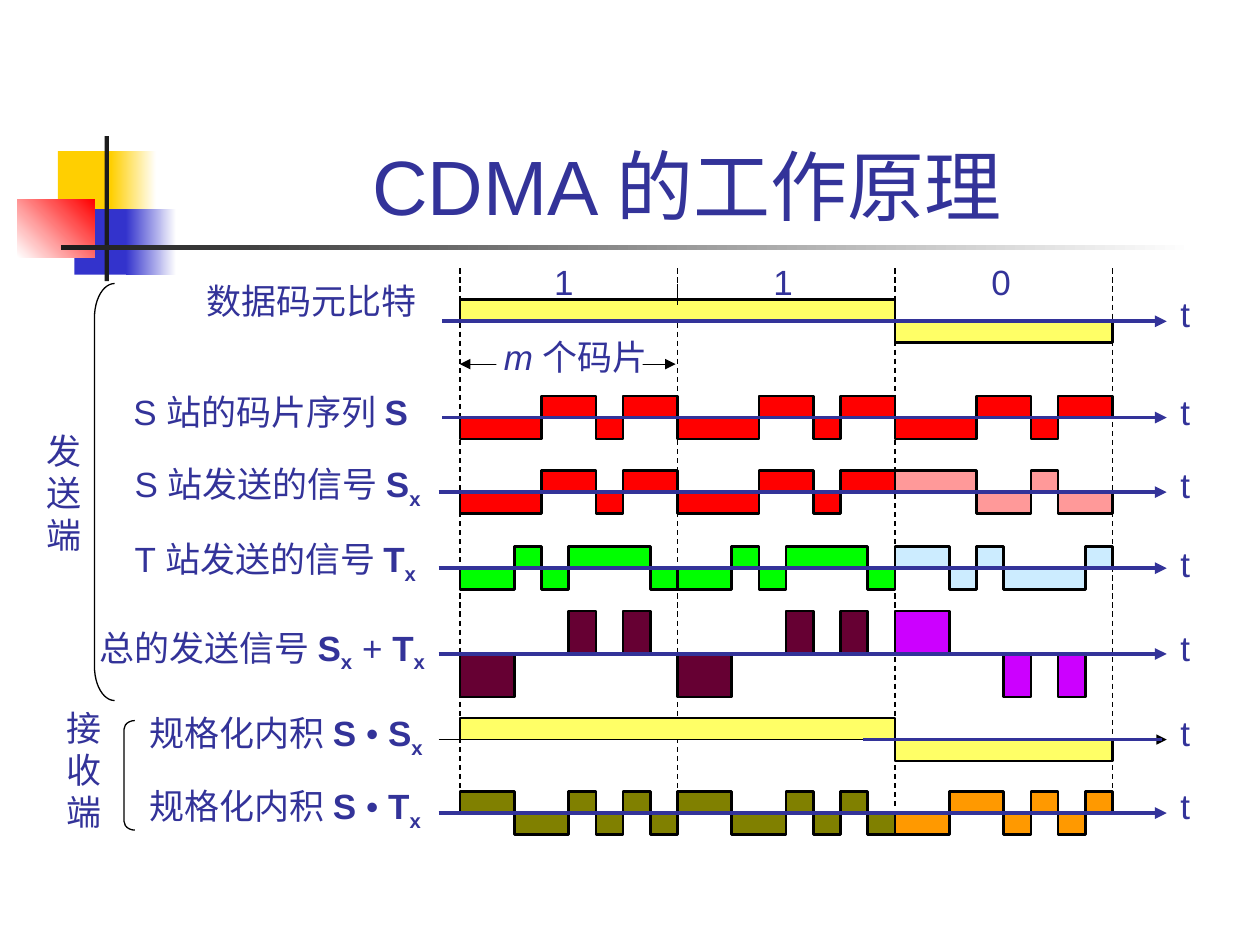
from pptx import Presentation
from pptx.dml.color import RGBColor
from pptx.enum import dml, shapes, text
from pptx.oxml import parse_xml
from pptx.oxml.ns import nsdecls, qn
from pptx.util import Pt

THEME = {
    "font": "Arial", "title": 44, "body": 20,
    "ink": "333399", "line": "000000", "white": "FFFFFF", "dark": "1C1C1C",
    "gold": "FFCF01", "blue": "3333CC", "red": "FF0000", "pink": "FF9999",
    "green": "00FF00", "pale": "CCECFF", "plum": "660033", "violet": "CC00FF",
    "olive": "808000", "orange": "FF9900", "yellow": "FFFF66",
}

# Content: data bits and the chip sequences of both stations
TITLE = "CDMA 的工作原理 "
BITS = [1, 1, -1]
S = [-1, -1, -1, 1, 1, -1, 1, 1]
T = [-1, -1, 1, -1, 1, 1, 1, -1]
TOTAL = [a + b for a, b in zip(S, T)]
PROD = [a * b for a, b in zip(S, T)]
ONES = [1] * len(S)

# Label runs are (text, style): b bold, x bold subscript, i italic
# Rows: axis y, axis start, chips, signs, colours, label x, label y, runs, t y
ROWS = [
    (183.6, 252.7, ONES, BITS, ["yellow"], 110.9, 156.2,
     [("数据码元比特", "")], 163.4),
    (238.6, 252.7, S, [1, 1, 1], ["red"] * 3, 69.1, 223.2,
     [("S 站的码片序列 ", ""), ("S", "b")], 219.6),
    (281.2, 250.6, S, BITS, ["red", "red", "pink"], 69.8, 260.6,
     [("S 站发送的信号 ", ""), ("S", "b"), ("x", "x")], 261.4),
    (324.7, 250.6, T, BITS, ["green", "green", "pale"], 69.8, 303.8,
     [("T 站发送的信号 ", ""), ("T", "b"), ("x", "x")], 306.7),
    (373.7, 250.6, TOTAL, BITS, ["plum", "plum", "violet"], 49.7, 354.2,
     [("总的发送信号 ", ""), ("S", "b"), ("x", "x"), (" + ", ""),
      ("T", "b"), ("x", "x")], 354.2),
    (422.6, 250.6, ONES, BITS, ["yellow"], 78.5, 403.2,
     [("规格化内积 ", ""), ("S ", "b"), ("• ", ""), ("S", "b"), ("x", "x")], 403.2),
    (464.6, 250.6, PROD, BITS, ["olive", "olive", "orange"], 78.5, 445,
     [("规格化内积 ", ""), ("S ", "b"), ("• ", ""), ("T", "b"), ("x", "x")], 445),
]
THIN = 5  # row whose axis is thin, with a thick part at its end
# Side groups: text, text x, text y, bracket box, bracket curve
SIDES = [
    ("发送端", 19.4, 241.9, (54, 162, 11.5, 238.3), 1.7),
    ("接收端", 31, 400.3, (70.8, 411.8, 6.2, 62.6), 0.83),
]
# Corner art: box, first colour, second colour, angle
ART = [
    ((33.1, 86.4, 34.6, 37.4), "gold", None, 0),
    ((63.4, 86.4, 25.9, 37.4), "gold", "white", 0),
    ((42.5, 119.5, 33.1, 37.4), "blue", None, 0),
    ((72, 119.5, 28.8, 37.4), "blue", "white", 0),
    ((10, 113.8, 44, 33.1), "white", "red", 45),
    ((59.8, 77.8, 2.5, 82.8), "dark", None, 0),
    ((34.6, 140.2, 648, 2.5), "dark", "white", 0),
]

LEFT, BIT, AMP = 262.8, 124.3, 12.3
CHIP = BIT / len(S)
ENDS = [452, 451, 462, 451.5]
AXIS_END = 666.7

prs = Presentation()
prs.slide_width, prs.slide_height = Pt(720), Pt(540)
slide = prs.slides.add_slide(prs.slide_layouts[5])
parts = slide.shapes


def rgb(name):
    return RGBColor.from_string(THEME[name])


def box(kind, at):
    shape = parts.add_shape(kind, *map(Pt, at))
    shape.shadow.inherit = False
    shape.line.fill.background()
    return shape


def rule(x1, y1, x2, y2, color="line", width=0.75, tips=(), dash=False):
    line = parts.add_connector(shapes.MSO_CONNECTOR.STRAIGHT,
                               *map(Pt, (x1, y1, x2, y2)))
    line.line.color.rgb = rgb(color)
    line.line.width = Pt(width)
    if dash:
        line.line.dash_style = dml.MSO_LINE.DASH
    ln = line.line._get_or_add_ln()
    for tip in tips:
        ln.append(parse_xml(f'<a:{tip} {nsdecls("a")} type="triangle"/>'))
    line._element.spPr.append(parse_xml(f'<a:effectLst {nsdecls("a")}/>'))


def put(par, words, style="", size="body"):
    run = par.add_run()
    run.text = words
    font = run.font
    font.name, font.size = THEME["font"], Pt(THEME[size])
    font.color.rgb = rgb("ink")
    font.bold, font.italic = style in ("b", "x"), style == "i"
    if style == "x":
        run._r.get_or_add_rPr().set("baseline", "-25000")


def label(x, y, w, h, lines):
    frame = parts.add_textbox(*map(Pt, (x, y, w, h))).text_frame
    frame.word_wrap = False
    frame.auto_size = text.MSO_AUTO_SIZE.SHAPE_TO_FIT_TEXT
    for n, runs in enumerate(lines):
        par = frame.paragraphs[0] if n == 0 else frame.add_paragraph()
        for words, style in runs:
            put(par, words, style)
    return frame


def wave(x, axis, levels, color):
    points = []
    for n, level in enumerate(levels):
        y = axis - level * AMP
        points += [(x + n * CHIP, y), (x + (n + 1) * CHIP, y)]
    points.append((x + len(levels) * CHIP, axis))
    pen = parts.build_freeform(Pt(x), Pt(axis))
    pen.add_line_segments([(Pt(a), Pt(b)) for a, b in points], close=False)
    shape = pen.convert_to_shape()
    shape.shadow.inherit = False
    shape.fill.solid()
    shape.fill.fore_color.rgb = rgb(color)
    shape.line.color.rgb = rgb("line")
    shape.line.width = Pt(1.5)


# Corner art
for at, first, second, angle in ART:
    fill = box(shapes.MSO_SHAPE.RECTANGLE, at).fill
    if second:
        fill.gradient()
        fill.gradient_angle = angle
        for stop, name in zip(fill.gradient_stops, (first, second)):
            stop.color.rgb = rgb(name)
    else:
        fill.solid()
        fill.fore_color.rgb = rgb(first)

# Title, brought in front of the corner art
head = parts.title
head.left, head.top, head.width, head.height = map(Pt, (90.7, 20.2, 613.4, 115.2))
head.text_frame.vertical_anchor = text.MSO_ANCHOR.BOTTOM
par = head.text_frame.paragraphs[0]
par.alignment = text.PP_ALIGN.CENTER
put(par, TITLE, size="title")
parts._spTree.append(head._element)

# Bit borders and the chip span
rule(LEFT, 208.1, LEFT + BIT - 1, 208.1, tips=("headEnd", "tailEnd"))
for n, end in enumerate(ENDS):
    rule(LEFT + n * BIT, 153.4, LEFT + n * BIT, end, dash=True)
mask = box(shapes.MSO_SHAPE.RECTANGLE, (283.7, 195.8, 83.5, 21.6))
mask.fill.solid()
mask.fill.fore_color.rgb = rgb("white")
label(280.8, 187.9, 101.5, 31.7, [[("m ", "i"), ("个码片", "")]])

# Signal rows: waves, axis, labels
for row, (axis, start, chips, signs, colors, x, y, runs, ty) in enumerate(ROWS):
    levels = [sign * chip for sign in signs for chip in chips]
    size = len(levels) // len(colors)
    for n, color in enumerate(colors):
        wave(LEFT + n * size * CHIP, axis, levels[n * size:(n + 1) * size], color)
    look = ("line", 0.75) if row == THIN else ("ink", 2.25)
    rule(start, axis, AXIS_END, axis, *look, tips=("tailEnd",))
    if row == THIN:
        rule(493.2, axis, 663.8, axis, "ink", 2.25)
    width = 245.5 - x if row == 0 else (255.6 if row == 1 else 261) - x
    frame = label(x, y, width, 34.6, [runs])
    if row == 1:
        frame.paragraphs[0].line_spacing = 0.85
    label(667.4, ty, 19.4, 31.7, [[("t", "")]])

# Data bits above the first row
rule(LEFT + BIT, 162, LEFT + BIT, 174.2)
for bit, x in zip(BITS, (309.6, 434.9, 559.4)):
    label(x, 145.4, 25.2, 31.7, [[("1" if bit > 0 else "0", "")]])

# Sender and receiver groups
for words, x, y, at, curve in SIDES:
    label(x, y, 34.6, 79.2, [[(sign, "")] for sign in words])
    mark = box(shapes.MSO_SHAPE.LEFT_BRACKET, at)
    mark.adjustments[0] = curve
    mark.fill.background()
    mark.line.color.rgb = rgb("line")
    mark.line.width = Pt(0.75)

prs.save("out.pptx")
